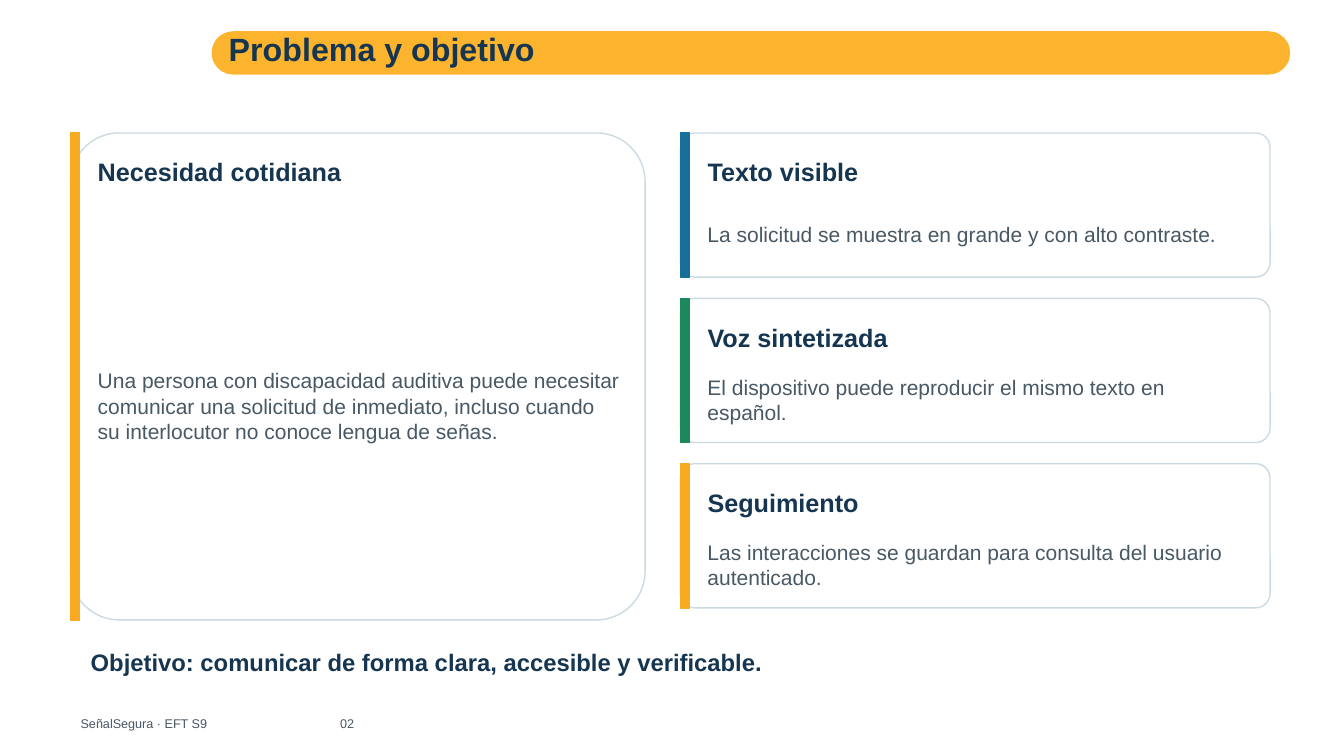
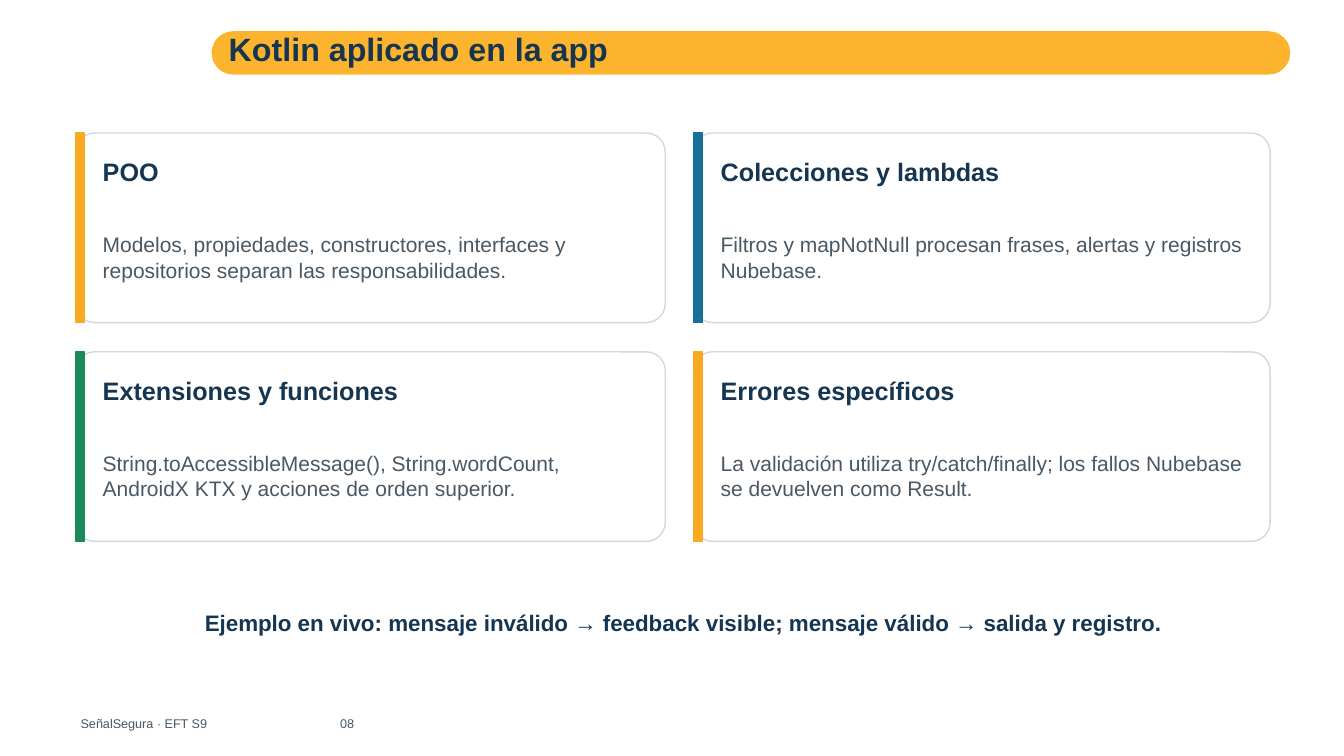
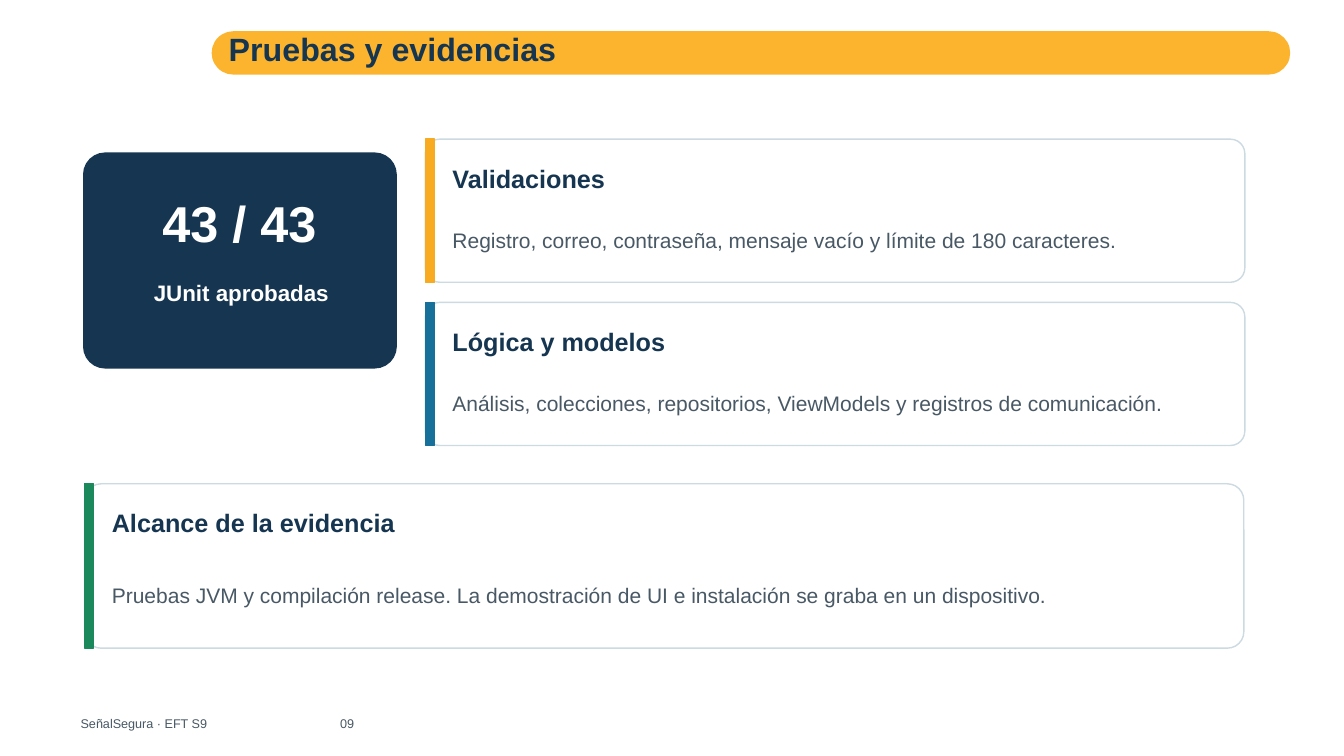
from dataclasses import dataclass
from lxml.etree import SubElement
from pptx import Presentation
from pptx.dml.color import RGBColor
from pptx.enum.shapes import MSO_SHAPE
from pptx.enum.text import MSO_ANCHOR, MSO_AUTO_SIZE, PP_ALIGN
from pptx.oxml.ns import qn
from pptx.util import Pt


@dataclass(frozen=True)
class Theme:
    font: str = "Arial"
    navy: str = "153550"
    gray: str = "485865"
    white: str = "FFFFFF"
    band: str = "FCB42E"
    edge: str = "CCDAE1"
    amber: str = "F8AB20"
    blue: str = "16709A"
    green: str = "1C895C"
    title: int = 23
    head: int = 18
    body: int = 15
    goal: int = 17
    label: int = 16
    score: int = 36
    foot: int = 9


T = Theme()


def draw(slide, kind, area, fill, line=None, round=0.1):
    shape = slide.shapes.add_shape(kind, *map(Pt, area))
    shape.shadow.inherit = False
    shape.fill.solid()
    shape.fill.fore_color.rgb = RGBColor.from_string(fill)
    if line:
        shape.line.color.rgb = RGBColor.from_string(line)
        shape.line.width = Pt(1)
    else:
        shape.line.fill.background()
    if kind == MSO_SHAPE.ROUNDED_RECTANGLE:
        shape.adjustments[0] = round
    return shape


def write(slide, area, text, size, color, bold=True, align=PP_ALIGN.LEFT, tab=None, box=None):
    """Fill the given box, or a new text box, with one paragraph; tab is a stop in points."""
    area = [Pt(n) for n in area]
    if box is None:
        box = slide.shapes.add_textbox(*area)
    box.left, box.top, box.width, box.height = area
    frame = box.text_frame
    frame.word_wrap = True
    frame.auto_size = MSO_AUTO_SIZE.NONE
    frame.vertical_anchor = MSO_ANCHOR.MIDDLE
    frame.margin_left = frame.margin_right = Pt(3.6)
    frame.margin_top = frame.margin_bottom = Pt(3.6)
    para = frame.paragraphs[0]
    para.text = text
    if tab:
        stops = SubElement(para._p.get_or_add_pPr(), qn("a:tabLst"))
        SubElement(stops, qn("a:tab"), pos=str(Pt(tab)), algn="l")
    para.alignment = align
    para.space_after = Pt(3)
    para.font.name = T.font
    para.font.size = Pt(size)
    para.font.bold = bold
    para.font.color.rgb = RGBColor.from_string(color)


ROUND, RECT = MSO_SHAPE.ROUNDED_RECTANGLE, MSO_SHAPE.RECTANGLE
MID = PP_ALIGN.CENTER

# Each card: area, accent colour, heading, body
needs = [((50.4, 95, 410.4, 347.8), T.amber, "Necesidad cotidiana",
          "Una persona con discapacidad auditiva puede necesitar comunicar una solicitud "
          "de inmediato, incluso cuando su interlocutor no conoce lengua de señas.")]
for row, (tint, head, body) in enumerate([
    (T.blue, "Texto visible", "La solicitud se muestra en grande y con alto contraste."),
    (T.green, "Voz sintetizada", "El dispositivo puede reproducir el mismo texto en español."),
    (T.amber, "Seguimiento",
     "Las interacciones se guardan para consulta del usuario autenticado."),
]):
    needs.append(((486, 95 + 118.1 * row, 421.2, 103), tint, head, body))

code = []
for i, (tint, head, body) in enumerate([
    (T.amber, "POO",
     "Modelos, propiedades, constructores, interfaces y repositorios "
     "separan las responsabilidades."),
    (T.blue, "Colecciones y lambdas",
     "Filtros y mapNotNull procesan frases, alertas y registros Nubebase."),
    (T.green, "Extensiones y funciones",
     "String.toAccessibleMessage(), String.wordCount, AndroidX KTX "
     "y acciones de orden superior."),
    (T.amber, "Errores específicos",
     "La validación utiliza try/catch/finally; los fallos Nubebase "
     "se devuelven como Result."),
]):
    row, col = divmod(i, 2)
    left, width = [(54, 421.2), (495.4, 411.8)][col]
    code.append(((left, 95 + 156.3 * row, width, 135.4), tint, head, body))

tests = [
    ((303.8, 99.4, 585.4, 102.2), T.amber, "Validaciones",
     "Registro, correo, contraseña, mensaje vacío y límite de 180 caracteres."),
    ((303.8, 216, 585.4, 102.2), T.blue, "Lógica y modelos",
     "Análisis, colecciones, repositorios, ViewModels y registros de comunicación."),
    ((60.5, 345.6, 828, 117.4), T.green, "Alcance de la evidencia",
     "Pruebas JVM y compilación release. La demostración de UI e instalación "
     "se graba en un dispositivo."),
]

deck = Presentation()
deck.slide_width, deck.slide_height = Pt(960), Pt(540)
layout = deck.slide_layouts[5]

pages = []
for title, number, cards in [
    ("Problema y objetivo", "02", needs),
    ("Kotlin aplicado en la app", "08", code),
    ("Pruebas y evidencias", "09", tests),
]:
    slide = deck.slides.add_slide(layout)
    pages.append(slide)
    write(slide, (159.8, 15.1, 712.8, 39.6), title, T.title, T.navy, box=slide.shapes.title)
    write(slide, (54, 509, 856.8, 15.8), f"SeñalSegura · EFT S9\t{number}",
          T.foot, T.gray, bold=False, tab=185.3)
    for area, tint, head, body in cards:
        x, y, w, h = area
        draw(slide, ROUND, area, T.white, T.edge)
        draw(slide, RECT, (x, y, 6.5, h), tint, tint)
        write(slide, (x + 15.8, y + 11.5, w - 28.8, 32.4), head, T.head, T.navy)
        write(slide, (x + 15.8, y + 49.7, w - 30.2, h - 57.6), body, T.body, T.gray, bold=False)

need, app, test = pages

# The title band belongs to the layout, so every slide shares it
band = draw(need, ROUND, (151.2, 22.3, 770.4, 31), T.band, round=0.5)
layout.shapes.element.append(band.element)

write(need, (61.2, 457.2, 835.2, 31),
      "Objetivo: comunicar de forma clara, accesible y verificable.", T.goal, T.navy)

write(app, (67, 422.6, 842.4, 44.6),
      "Ejemplo en vivo: mensaje inválido → feedback visible; "
      "mensaje válido → salida y registro.", T.label, T.navy, align=MID)

draw(test, ROUND, (59.8, 109.4, 223.2, 153.4), T.navy, T.navy)
write(test, (75.6, 131.8, 190.8, 54), "43 / 43", T.score, T.white, align=MID)
write(test, (77, 194.4, 190.8, 29.5), "JUnit aprobadas", T.label, T.white, align=MID)

deck.save("out.pptx")
